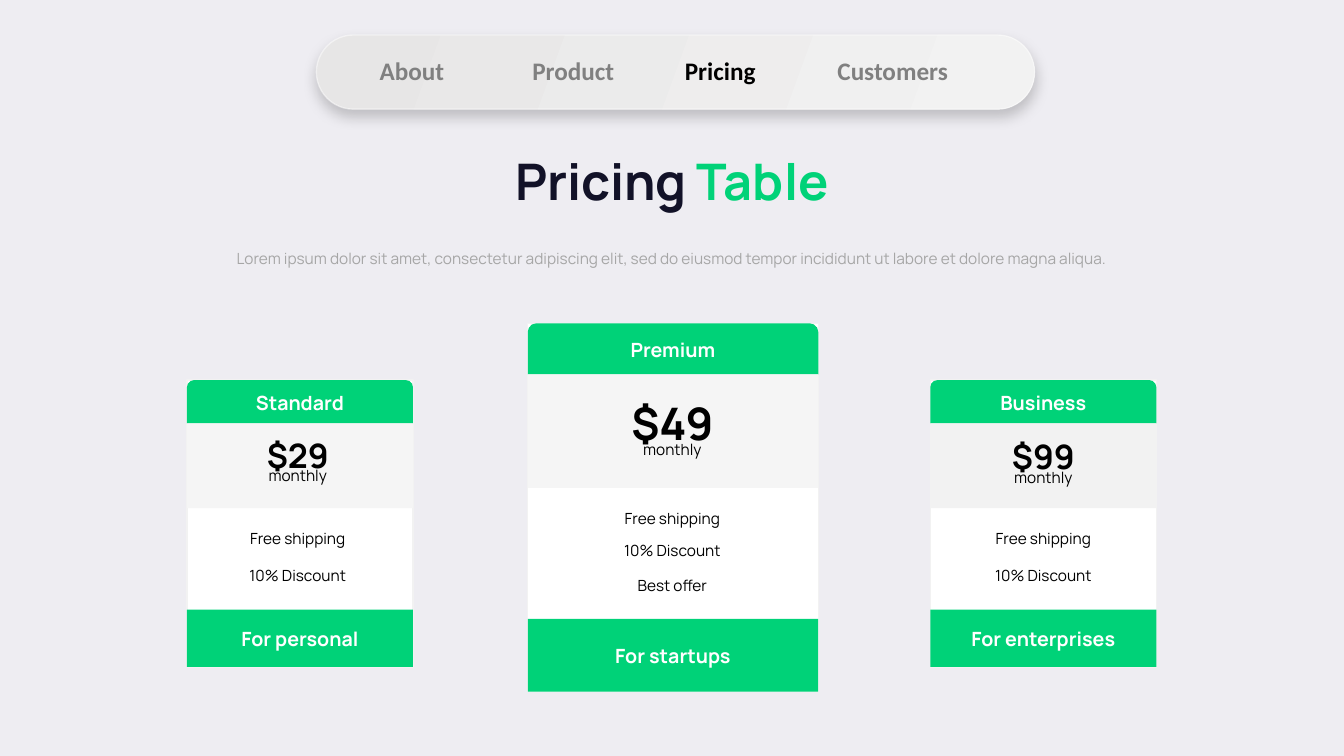
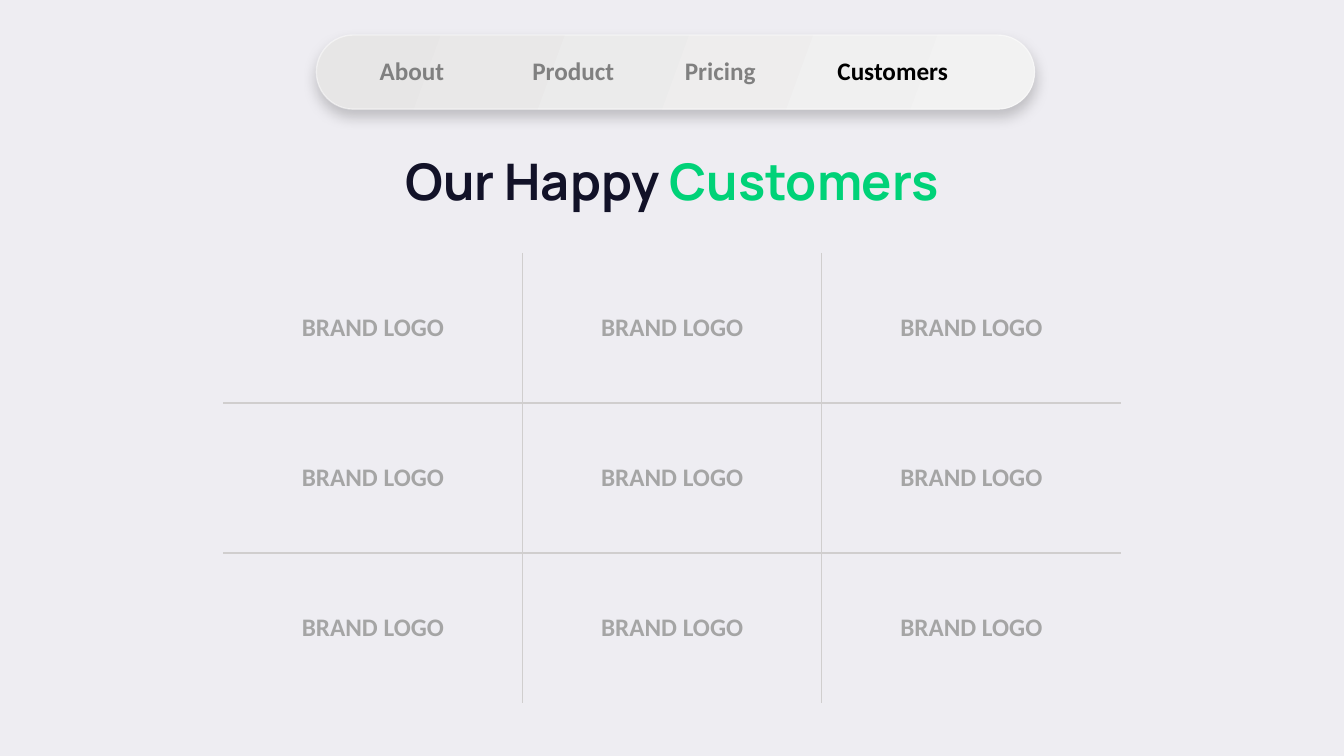
"""Build a pricing slide and a customers slide under one navigation bar."""
import pptx
import pptx.dml.color
import pptx.enum.shapes
import pptx.enum.text
import pptx.oxml
import pptx.oxml.ns
import pptx.util

Pt = pptx.util.Pt
qn = pptx.oxml.ns.qn
rgb = pptx.dml.color.RGBColor.from_string
Align = pptx.enum.text.PP_ALIGN
Anchor = pptx.enum.text.MSO_ANCHOR
Preset = pptx.enum.shapes.MSO_SHAPE

GREEN, NAVY, WHITE, BLACK = "00D278", "121228", "FFFFFF", "000000"
BACKDROP, PALE, RULE = "EEEDF2", "F2F2F2", "D0CECE"
PLAIN_TABLE = "{2D5ABB26-0587-4C30-8999-92F81FD0307C}"
DRAWING = 'xmlns:a="http://schemas.openxmlformats.org/drawingml/2006/main"'
SOFT_SHADOW = (
    f'<a:effectLst {DRAWING}><a:outerShdw blurRad="127000" dist="63500" dir="5400000" '
    'algn="ctr" rotWithShape="0"><a:srgbClr val="000000"><a:alpha val="20000"/>'
    '</a:srgbClr></a:outerShdw></a:effectLst>'
)


def write(paragraph, text, size, color, bold=False, font="Manrope", align=Align.CENTER):
    paragraph.add_run().text = text
    paragraph.alignment = align
    paragraph.font.size = Pt(size)
    paragraph.font.bold = bold
    paragraph.font.name = font
    paragraph.font.color.rgb = rgb(color)


def add_grid(slide, rows, columns, left, top, column_width, row_height):
    frame = slide.shapes.add_table(rows, columns, Pt(left), Pt(top),
                                   Pt(columns * column_width), Pt(rows * row_height))
    frame.element.find(".//" + qn("a:tableStyleId")).text = PLAIN_TABLE
    frame.table.first_row = frame.table.horz_banding = False
    return frame.table


deck = pptx.Presentation()
deck.slide_width, deck.slide_height = Pt(960), Pt(540)

pages = []
for active, lead, accent in [("Pricing", "Pricing ", "Table"),
                             ("Customers", "Our Happy ", "Customers")]:
    page = deck.slides.add_slide(deck.slide_layouts[6])
    pages.append(page)
    page.background.fill.solid()
    page.background.fill.fore_color.rgb = rgb(BACKDROP)

    bar = page.shapes.add_shape(Preset.ROUNDED_RECTANGLE, Pt(226), Pt(25), Pt(513), Pt(53))
    bar.adjustments[0] = 0.5
    bar.fill.gradient()
    bar.fill.gradient_angle = 340
    for stop, color in zip(bar.fill.gradient_stops, ["E7E6E6", PALE]):
        stop.color.rgb = rgb(color)
    bar.line.width = Pt(1)
    bar.line.color.rgb = rgb(WHITE)
    outline = bar.element.spPr.find(qn("a:ln")).find(".//" + qn("a:srgbClr"))
    outline.append(pptx.oxml.parse_xml(f'<a:alpha {DRAWING} val="50000"/>'))
    bar.element.spPr.append(pptx.oxml.parse_xml(SOFT_SHADOW))

    menu = add_grid(page, 1, 4, 264, 36.7, 109, 29.5)
    for cell, entry in zip(menu.iter_cells(), ["About", "Product", "Pricing", "Customers"]):
        cell.fill.background()
        write(cell.text_frame.paragraphs[0], entry, 18,
              BLACK if entry == active else "808080", True, "Calibri", Align.LEFT)

    title = page.shapes.add_textbox(Pt(197), Pt(104), Pt(566), Pt(51)).text_frame
    title.word_wrap = True
    heading = title.paragraphs[0]
    write(heading, lead, 36, NAVY, True)
    highlight = heading.add_run()
    highlight.text = accent
    highlight.font.color.rgb = rgb(GREEN)

pricing, customers = pages

intro = pricing.shapes.add_textbox(Pt(102), Pt(168), Pt(756), Pt(25)).text_frame
intro.word_wrap = True
write(intro.paragraphs[0], "Lorem ipsum dolor sit amet, consectetur adipiscing elit, sed do "
      "eiusmod tempor incididunt ut labore et dolore magna aliqua.", 11, "A6A6A6")
intro.paragraphs[0].line_spacing = 1.5

side_edges = (271.5, 302.5, 363, 435.5, 476.5)
premium_edges = (231, 267.5, 348.5, 442, 494)
side_features = [(374.5, "Free shipping"), (401, "10% Discount")]
premium_features = [(360, "Free shipping"), (383, "10% Discount"), (408, "Best offer")]
plans = [
    ("Business", "For enterprises", "$99", 24, 318, 664.5, 161.5, 745.3, PALE,
     side_edges, side_features),
    ("Standard", "For personal", "$29", 24, 317, 133.5, 161.5, 212.7, "F5F5F5",
     side_edges, side_features),
    ("Premium", "For startups", "$49", 32, 292.5, 377, 207.5, 480.3, "F5F5F5",
     premium_edges, premium_features),
]
for (plan, audience, price, price_size, price_top, left, width, center, price_fill,
     edges, features) in plans:
    card = pricing.shapes.add_group_shape().shapes
    top, price_edge, feature_edge, footer_edge, bottom = edges
    for preset, start, end, color, label in [
        (Preset.RECTANGLE, top, bottom, WHITE, None),
        (Preset.ROUND_2_SAME_RECTANGLE, top, price_edge, GREEN, plan),
        (Preset.RECTANGLE, footer_edge, bottom, GREEN, audience),
        (Preset.RECTANGLE, price_edge, feature_edge, price_fill, None),
    ]:
        band = card.add_shape(preset, Pt(left), Pt(start), Pt(width), Pt(end - start))
        band.shadow.inherit = False
        band.fill.solid()
        band.fill.fore_color.rgb = rgb(color)
        if color == WHITE:
            band.line.color.rgb = rgb(PALE)
            band.line.width = Pt(1)
        else:
            band.line.fill.background()
        if label:
            band.text_frame.vertical_anchor = Anchor.MIDDLE
            write(band.text_frame.paragraphs[0], label, 14, WHITE, True)

    offers = [(price_top, price)] + features
    for offer_top, offer in offers:
        box = card.add_textbox(Pt(center - 60), Pt(offer_top), Pt(120), Pt(21)).text_frame
        box.word_wrap = True
        if offer == price:
            box.paragraphs[0].line_spacing = 0.6
            write(box.paragraphs[0], price, price_size, BLACK, True)
            period = box.add_paragraph()
            period.line_spacing = 0.6
            write(period, "monthly", 11, BLACK)
        else:
            write(box.paragraphs[0], offer, 11, BLACK)

size = 3
brands = add_grid(customers, size, size, 159.5, 180.7, 213.75, 107.2)
for row in range(size):
    for column in range(size):
        cell = brands.cell(row, column)
        cell.vertical_anchor = Anchor.MIDDLE
        write(cell.text_frame.paragraphs[0], "BRAND LOGO", 18, "A5A5A5", True, "Calibri")
        inner_sides = [("L", column > 0), ("R", column < size - 1),
                       ("T", row > 0), ("B", row < size - 1)]
        for side, inner in inner_sides:
            if inner:
                cell._tc.get_or_add_tcPr().append(pptx.oxml.parse_xml(
                    f'<a:ln{side} {DRAWING} w="12700"><a:solidFill><a:srgbClr val="{RULE}"/>'
                    f'</a:solidFill></a:ln{side}>'))
        cell.fill.background()

deck.save("out.pptx")
